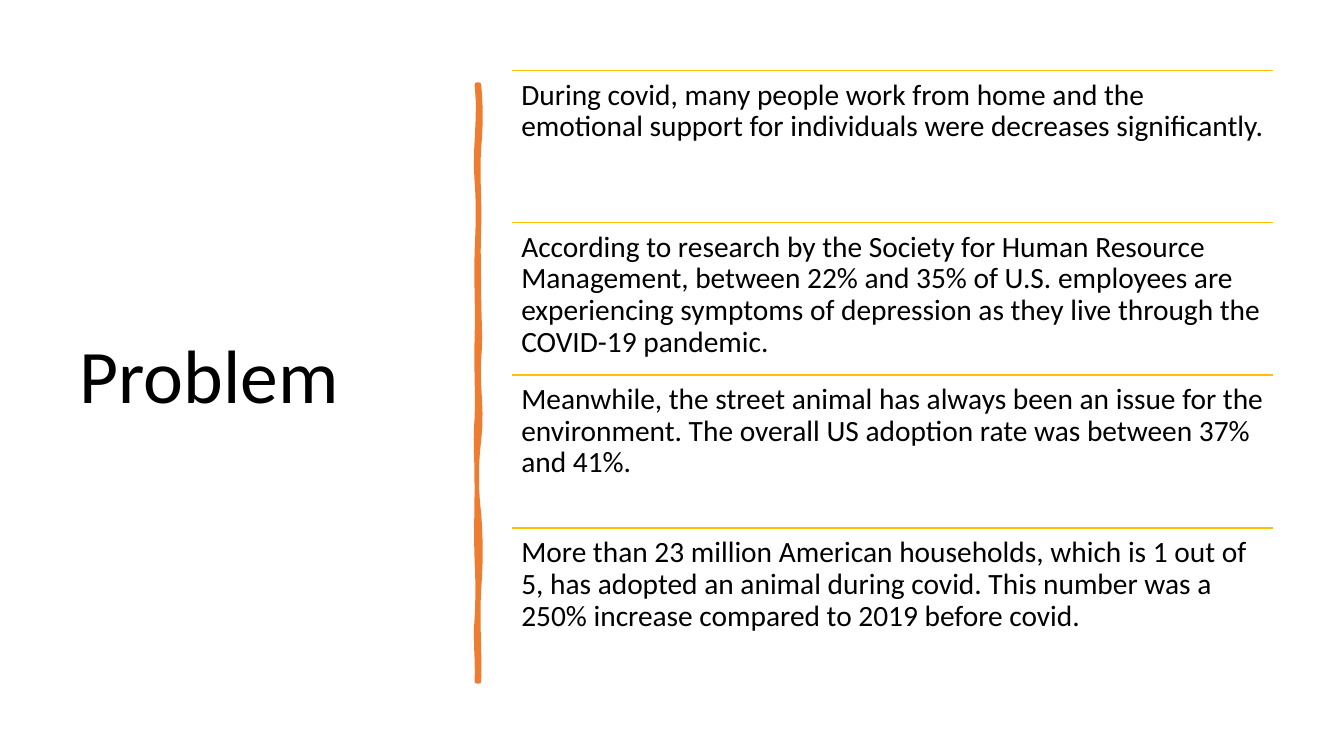
from lxml.etree import SubElement
from pptx import Presentation
from pptx.dml.color import RGBColor
from pptx.enum.shapes import MSO_CONNECTOR
from pptx.enum.text import MSO_ANCHOR
from pptx.oxml.ns import qn
from pptx.util import Emu, Pt

PX = 9144  # EMU in one px, 100 px to the inch
BLACK, ORANGE, GOLD = "000000", "ED7D31", "FFC000"

PROBLEMS = [
    "During covid, many people work from home and the emotional support for "
    "individuals were decreases significantly.",
    "According to research by the Society for Human Resource Management, between "
    "22% and 35% of U.S. employees are experiencing symptoms of depression as they "
    "live through the COVID-19 pandemic.",
    "Meanwhile, the street animal has always been an issue for the environment. "
    "The overall US adoption rate was between 37% and 41%.",
    "More than 23 million American households, which is 1 out of 5, has adopted an "
    "animal during covid. This number was a 250% increase compared to 2019 before "
    "covid.",
]

# Each bend: sideways pull at its start, pull at its end, y where it ends
RIGHT_BENDS = [(2, 2, 146), (-2, 1, 226), (-1, 0, 294), (0, 2, 356),
               (-2, 4, 436), (-3, -3, 510), (2, 2, 584), (-2, 1, 676)]
LEFT_BENDS = [(1, -2, 613), (1, 1, 557), (-1, 0, 477), (0, -2, 415),
              (1, -1, 335), (1, -1, 250), (1, 2, 181), (-3, 4, 84)]


def px(length):
    return Emu(round(length * PX))


def color(hex_string):
    return RGBColor.from_string(hex_string)


def wavy_edge(x, y, bends, steps=6):
    """Sample a chain of cubic curves that all start and end on the vertical at x."""
    points = []
    for start_pull, end_pull, end_y in bends:
        for step in range(1, steps + 1):
            t = step / steps
            shift = 3 * t * (1 - t) * (start_pull * (1 - t) + end_pull * t)
            points.append((px(x + shift), px(y + (end_y - y) * t)))
        y = end_y
    return points


class SlideBuilder:
    def __init__(self, page, font="Calibri"):
        self.page = page
        self.font = font

    def text(self, left, top, width, height, content, size, inset,
             anchor=MSO_ANCHOR.TOP):
        box = self.page.shapes.add_textbox(px(left), px(top), px(width), px(height))
        frame = box.text_frame
        frame.word_wrap = True
        frame.vertical_anchor = anchor
        frame.margin_left = frame.margin_right = px(inset)
        frame.margin_top = frame.margin_bottom = px(inset)
        frame.text = content
        paragraph = frame.paragraphs[0]
        paragraph.line_spacing = 0.9
        span = paragraph.runs[0]
        span.font.name = self.font
        span.font.size = Pt(size)
        span.font.color.rgb = color(BLACK)

    def rule(self, left, top, width):
        line = self.page.shapes.add_connector(
            MSO_CONNECTOR.STRAIGHT, px(left), px(top), px(left + width), px(top))
        line.line.color.rgb = color(GOLD)
        line.line.width = Pt(1)
        SubElement(line._element.spPr, qn("a:effectLst"))

    def brush_stroke(self, left, right, top, bottom):
        builder = self.page.shapes.build_freeform(px(right), px(top))
        builder.add_line_segments(wavy_edge(right, top, RIGHT_BENDS), close=False)
        builder.add_line_segments([(px(left), px(bottom))], close=False)
        builder.add_line_segments(wavy_edge(left, bottom, LEFT_BENDS), close=True)
        stroke = builder.convert_to_shape()
        stroke.shadow.inherit = False
        stroke.fill.solid()
        stroke.fill.fore_color.rgb = color(ORANGE)
        stroke.line.color.rgb = color(ORANGE)
        stroke.line.width = Pt(3.25)
        SubElement(stroke.line._get_or_add_ln(), qn("a:round"))


def main():
    deck = Presentation()
    deck.slide_width, deck.slide_height = px(1333), px(750)
    slide = SlideBuilder(deck.slides.add_slide(deck.slide_layouts[6]))

    slide.text(69, 70, 374, 611, "Problem", 54, 10, MSO_ANCHOR.MIDDLE)
    slide.brush_stroke(left=473, right=475, top=84, bottom=676)

    left, first_top, width, rows_span = 508, 70, 755, 605
    row_height = rows_span / len(PROBLEMS)
    for row, problem in enumerate(PROBLEMS):
        top = round(first_top + row * row_height)
        slide.rule(left, top, width)
        slide.text(left, top, width, round(row_height), problem, 21, 9)

    deck.save("out.pptx")


if __name__ == "__main__":
    main()
